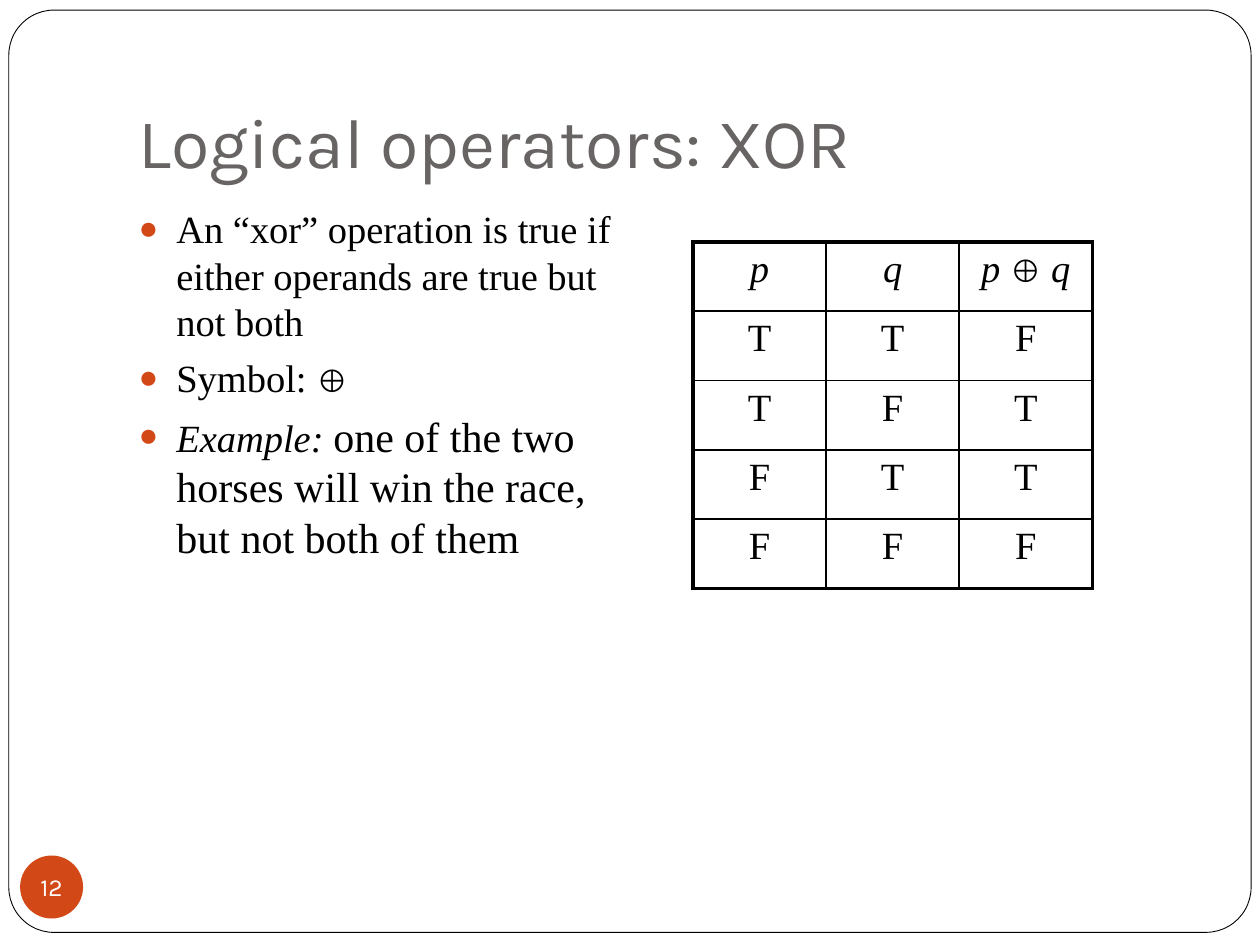
from dataclasses import dataclass
from typing import Any, NamedTuple

from lxml import etree
from pptx import Presentation, util as u
from pptx.dml.color import RGBColor
from pptx.enum import shapes, text
from pptx.oxml import ns


@dataclass(frozen=True)
class Theme:
    ink: str = "000000"
    paper: str = "FFFFFF"
    heading: str = "696464"
    accent: str = "D34817"
    sans: str = "Karla"
    serif: str = "Times New Roman"
    title_size: float = 40
    example_size: float = 24
    body_size: float = 22
    symbol_size: float = 18
    number_size: float = 14
    paragraph_gap: float = 5.8
    thin: float = 1
    thick: float = 2.25


class Area(NamedTuple):
    column: float
    row: float
    columns: float
    rows: float


class Span(NamedTuple):
    words: str
    size: float
    font: str
    color: str
    italic: bool = False


THEME = Theme()
COLUMNS, ROWS = 10, 7.5
SLIDE_WIDTH, SLIDE_HEIGHT = u.Inches(10), u.Inches(7.5)

FRAME = Area(0.07, 0.08, 9.86, 7.32)
TITLE = Area(1, 0.3, 8.5, 1.25)
BODY = Area(1, 1.58, 4.17, 5)
TRUTH_TABLE = Area(5.5, 1.92, 3.17, 2.75)
BADGE = Area(0.16, 6.79, 0.5, 0.5)


def serif(words: str, size: float = THEME.body_size, italic: bool = False) -> Span:
    return Span(words, size, THEME.serif, THEME.ink, italic)


XOR = serif("⊕", THEME.symbol_size)
BULLETS = [
    [serif("An “xor” operation is true if either operands are true but not both")],
    [serif("Symbol: "), XOR],
    [
        serif("Example: ", italic=True),
        serif("one of the two horses will win the race, but not both of them", THEME.example_size),
    ],
]
HEADER = [
    [serif("p", italic=True)],
    [serif("q", italic=True)],
    [serif("p ", italic=True), XOR, serif(" q", italic=True)],
]
OUTCOMES = ["TTF", "TFT", "FTT", "FFF"]


def bounds(area: Area) -> dict[str, int]:
    return {
        "left": round(SLIDE_WIDTH * area.column / COLUMNS),
        "top": round(SLIDE_HEIGHT * area.row / ROWS),
        "width": round(SLIDE_WIDTH * area.columns / COLUMNS),
        "height": round(SLIDE_HEIGHT * area.rows / ROWS),
    }


def apply(target: Any, values: dict[str, Any]) -> None:
    for name, value in values.items():
        setattr(target, name, value)


def write(para: Any, spans: list[Span], **layout: Any) -> None:
    apply(para, layout)
    for item in spans:
        span = para.add_run()
        span.text = item.words
        apply(span.font, {"size": u.Pt(item.size), "name": item.font, "italic": item.italic})
        span.font.color.rgb = RGBColor.from_string(item.color)


def element(parent: Any, tag: str, **attributes: str) -> Any:
    return etree.SubElement(parent, ns.qn(tag), attributes)


def add_bullet(para: Any) -> None:
    indent = u.Inches(0.3)
    properties = para._p.get_or_add_pPr()
    properties.set("marL", str(indent))
    properties.set("indent", str(-indent))
    element(element(properties, "a:buClr"), "a:srgbClr", val=THEME.accent)
    element(properties, "a:buSzPct", val="85000")
    element(properties, "a:buChar", char="●")


def add_border(cell: Any, side: str, points: float) -> None:
    line = element(cell._tc.get_or_add_tcPr(), f"a:ln{side}", w=str(u.Pt(points)))
    element(element(line, "a:solidFill"), "a:srgbClr", val=THEME.ink)


def draw_shape(page: Any, kind: Any, area: Area, fill: str) -> Any:
    box = page.shapes.add_shape(kind, **bounds(area))
    box.shadow.inherit = False
    box.fill.solid()
    box.fill.fore_color.rgb = RGBColor.from_string(fill)
    box.line.fill.background()
    return box


def draw_frame(page: Any) -> None:
    box = draw_shape(page, shapes.MSO_SHAPE.ROUNDED_RECTANGLE, FRAME, THEME.paper)
    box.adjustments[0] = 0.049
    box.line.color.rgb = RGBColor.from_string(THEME.ink)
    box.line.width = u.Pt(0.5)
    page.shapes._spTree.insert(2, box._element)


def draw_title(page: Any) -> None:
    box = page.shapes.title
    apply(box, bounds(TITLE))
    apply(box.text_frame, {
        "vertical_anchor": text.MSO_ANCHOR.BOTTOM,
        "auto_size": text.MSO_AUTO_SIZE.NONE,
        "margin_bottom": u.Inches(0.1),
    })
    title = Span("Logical operators: XOR", THEME.title_size, THEME.sans, THEME.heading)
    write(box.text_frame.paragraphs[0], [title], alignment=text.PP_ALIGN.LEFT)


def draw_body(page: Any) -> None:
    box = page.placeholders[1]
    apply(box, bounds(BODY))
    frame = box.text_frame
    frame.auto_size = text.MSO_AUTO_SIZE.NONE
    for index, spans in enumerate(BULLETS):
        para = frame.add_paragraph() if index else frame.paragraphs[0]
        write(para, spans, space_before=u.Pt(THEME.paragraph_gap))
        add_bullet(para)


def draw_truth_table(page: Any) -> None:
    rows = [HEADER] + [[[serif(value)] for value in outcome] for outcome in OUTCOMES]
    last_row, last_column = len(rows) - 1, len(HEADER) - 1
    table = page.shapes.add_table(len(rows), len(HEADER), **bounds(TRUTH_TABLE)).table
    apply(table, {"first_row": False, "horz_banding": False})
    for row, cells in enumerate(rows):
        for column, spans in enumerate(cells):
            cell = table.cell(row, column)
            write(
                cell.text_frame.paragraphs[0], spans,
                alignment=text.PP_ALIGN.CENTER, space_before=u.Pt(THEME.paragraph_gap),
            )
            outer = {"L": column == 0, "R": column == last_column,
                     "T": row == 0, "B": row == last_row}
            for side, is_outer in outer.items():
                add_border(cell, side, THEME.thick if is_outer else THEME.thin)
            cell.fill.background()


def draw_badge(page: Any) -> None:
    box = draw_shape(page, shapes.MSO_SHAPE.OVAL, BADGE, THEME.accent)
    margins = {f"margin_{side}": 0 for side in ("left", "top", "right", "bottom")}
    apply(box.text_frame, margins | {
        "vertical_anchor": text.MSO_ANCHOR.MIDDLE, "word_wrap": False,
    })
    number = Span("12", THEME.number_size, THEME.sans, THEME.paper)
    write(box.text_frame.paragraphs[0], [number], alignment=text.PP_ALIGN.CENTER)


def main() -> None:
    deck = Presentation()
    apply(deck, {"slide_width": SLIDE_WIDTH, "slide_height": SLIDE_HEIGHT})
    page = deck.slides.add_slide(deck.slide_layouts[1])
    for draw in (draw_frame, draw_title, draw_body, draw_truth_table, draw_badge):
        draw(page)
    deck.save("out.pptx")


if __name__ == "__main__":
    main()
